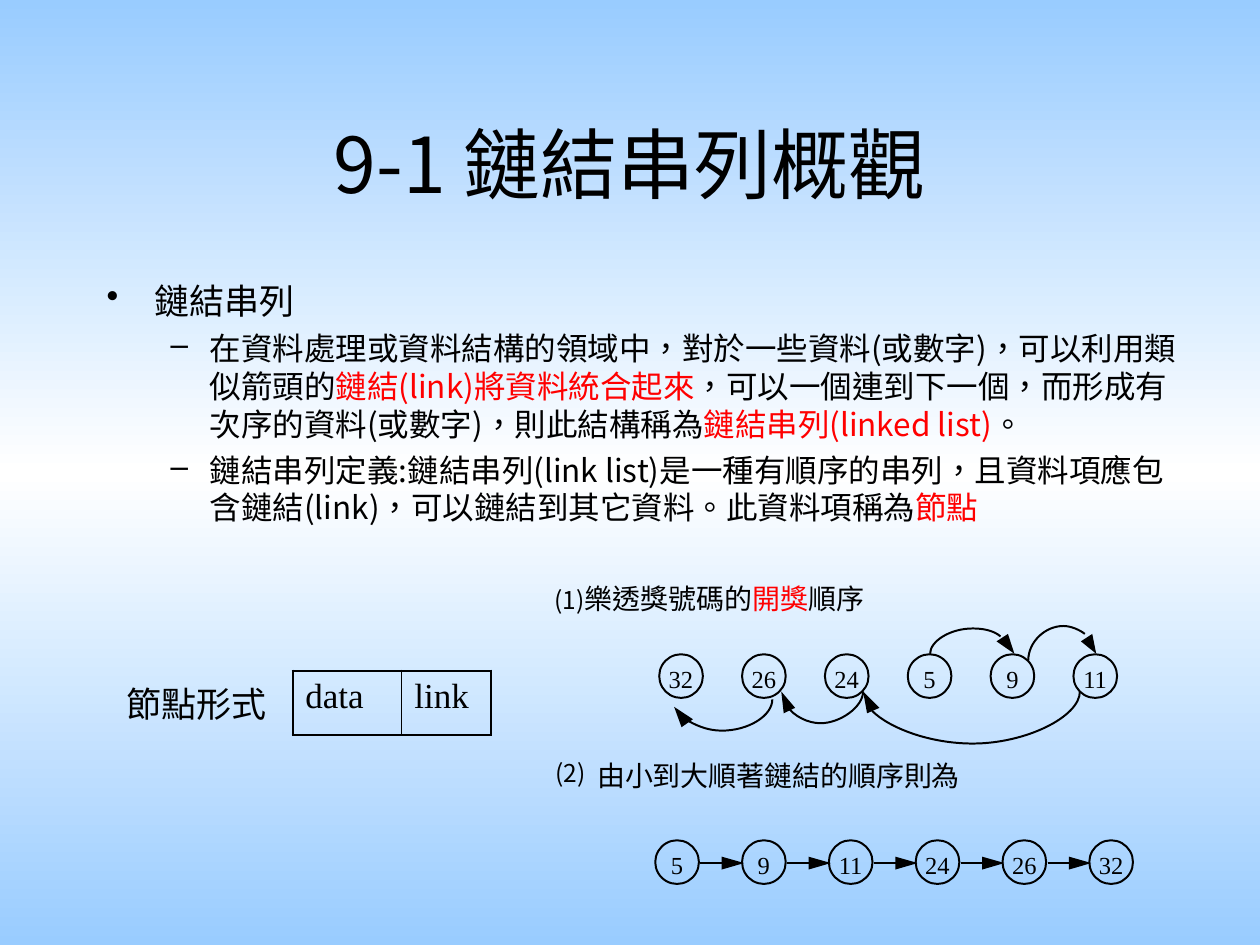
from copy import deepcopy
from lxml.etree import SubElement as Sub
from pptx import Presentation
from pptx.dml.color import RGBColor as RGB
from pptx.enum.shapes import MSO_CONNECTOR as Link, MSO_SHAPE as Kind
from pptx.enum.text import MSO_ANCHOR as Anchor, MSO_AUTO_SIZE as Auto, PP_ALIGN as Align
from pptx.oxml.ns import qn
from pptx.util import Cm, Pt

BLACK = RGB(0, 0, 0)
RED = RGB(0xFF, 0, 0)
WHITE = RGB(0xFF, 0xFF, 0xFF)
SKY = RGB(0x99, 0xCC, 0xFF)
SANS = "Noto Sans CJK SC"
SERIF = "Times New Roman"
THIN = Pt(1.13)

BODY = [
    (0, [("鏈結串列", BLACK)]),
    (1, [("在資料處理或資料結構的領域中，對於一些資料(或數字)，可以利用類似箭頭的", BLACK),
         ("鏈結(link)將資料統合起來", RED),
         ("，可以一個連到下一個，而形成有次序的資料(或數字)，則此結構稱為", BLACK),
         ("鏈結串列(linked list)", RED),
         ("。", BLACK)]),
    (1, [("鏈結串列定義:鏈結串列(link list)是一種有順序的串列，且資料項應包含鏈結(link)，"
          "可以鏈結到其它資料。此資料項稱為", BLACK),
         ("節點", RED)]),
]
LEVELS = [("•", 0.96, -0.96, 20, 5), ("–", 2.08, -0.79, 18, 4.5)]

DRAWN = [32, 26, 24, 5, 9, 11]
ARCS = [
    ([(15.57, 14.1), (15.57, 14.43), (15.09, 14.73), (14.55, 14.73),
      (14.25, 14.73), (14, 14.61), (13.82, 14.5)],
     [(13.97, 14.5), (13.59, 14.25), (13.74, 14.66)]),
    ([(17.4, 13.94), (17.4, 14.25), (16.94, 14.58), (16.54, 14.58),
      (16.28, 14.58), (16, 14.43), (15.88, 14.25)],
     [(16.03, 14.27), (15.75, 13.94), (15.8, 14.38)]),
    ([(21.77, 13.94), (21.77, 14.45), (20.68, 14.99), (19.61, 14.99),
      (18.75, 14.99), (17.93, 14.68), (17.58, 14.33)],
     [(17.73, 14.27), (17.4, 13.94), (17.48, 14.38)]),
    ([(18.75, 13.18), (18.75, 12.93), (19.15, 12.67), (19.61, 12.67),
      (19.79, 12.67), (20.02, 12.7), (20.17, 12.83)],
     [(20.09, 12.93), (20.45, 13.18), (20.32, 12.78)]),
    ([(20.73, 13.31), (20.73, 12.95), (21.06, 12.62), (21.44, 12.62),
      (21.59, 12.62), (21.77, 12.7), (21.87, 12.78)],
     [(21.79, 12.93), (22.1, 13.18), (22.02, 12.78)]),
]


def style(para, size, name=SANS):
    font = para.font
    font.size = Pt(size)
    font.name = name
    font.color.rgb = BLACK
    base = para._p.pPr.find(qn("a:defRPr"))
    Sub(base, qn("a:ea")).set("typeface", SANS)


def write(para, runs):
    for text, color, *size in runs:
        run = para.add_run()
        run.text = text
        run._r.get_or_add_rPr().set("lang", "zh-TW")
        if color != BLACK:
            run.font.color.rgb = color
        if size:
            run.font.size = Pt(size[0])


def add_box(slide, x, y, w, h, wrap=True):
    frame = slide.shapes.add_textbox(Cm(x), Cm(y), Cm(w), Cm(h)).text_frame
    frame.word_wrap = wrap
    return frame


def add_title(slide, text):
    frame = add_box(slide, 1.9, 1.7, 21.6, 3.18)
    frame.vertical_anchor = Anchor.MIDDLE
    para = frame.paragraphs[0]
    para.alignment = Align.CENTER
    style(para, 44)
    write(para, [(text, BLACK)])


def add_body(slide):
    frame = add_box(slide, 1.9, 5.51, 22.3, 7.21)
    for i, (level, runs) in enumerate(BODY):
        para = frame.add_paragraph() if i else frame.paragraphs[0]
        mark, left, hang, size, gap = LEVELS[level]
        para.level = level
        props = para._p.get_or_add_pPr()
        props.set("marL", str(Cm(left)))
        props.set("indent", str(Cm(hang)))
        Sub(props, qn("a:buChar")).set("char", mark)
        if i:
            para.space_before = Pt(gap)
        style(para, size)
        write(para, runs)


def add_label(slide, x, y, w, h, runs, size):
    frame = add_box(slide, x, y, w, h, False)
    frame.auto_size = Auto.SHAPE_TO_FIT_TEXT
    frame.margin_left = frame.margin_right = 0
    frame.margin_top = frame.margin_bottom = 0
    para = frame.paragraphs[0]
    style(para, size)
    write(para, runs)


def set_edges(cell, edges):
    props = cell._tc.get_or_add_tcPr()
    for side in "LRTB":
        width = edges.get(side, 0)
        line = Sub(props, qn("a:ln" + side))
        line.set("w", str(Pt(width)))
        if width:
            fill = Sub(line, qn("a:solidFill"))
            Sub(fill, qn("a:srgbClr")).set("val", str(BLACK))
        else:
            Sub(line, qn("a:noFill"))
    cell.fill.background()


def add_node(slide):
    wide, fine = 1.47, 0.45
    cols = [
        ("節點形式", 3.61, {"R": wide}),
        ("data", 2.2, {"L": wide, "T": wide, "R": fine, "B": wide}),
        ("link", 1.8, {"L": fine, "T": wide, "R": wide, "B": wide}),
    ]
    total = sum(col[1] for col in cols)
    table = slide.shapes.add_table(
        1, len(cols), Cm(2.29), Cm(13.52), Cm(total), Cm(1.3)).table
    table.first_row = table.horz_banding = False
    for i, (text, width, edges) in enumerate(cols):
        table.columns[i].width = Cm(width)
        cell = table.cell(0, i)
        set_edges(cell, edges)
        para = cell.text_frame.paragraphs[0]
        style(para, 20, SERIF)
        write(para, [(text, BLACK)])


def add_ring(slide, x, y, number):
    ring = slide.shapes.add_shape(Kind.OVAL, Cm(x), Cm(y), Cm(0.88), Cm(0.88))
    ring.shadow.inherit = False
    ring.fill.background()
    ring.line.color.rgb = BLACK
    ring.line.width = THIN
    frame = ring.text_frame
    frame.word_wrap = False
    frame.vertical_anchor = Anchor.MIDDLE
    frame.margin_left = frame.margin_right = frame.margin_bottom = 0
    frame.margin_top = Cm(0.1)
    para = frame.paragraphs[0]
    para.alignment = Align.CENTER
    style(para, 14, SERIF)
    write(para, [(str(number), BLACK)])


def add_form(slide, points, close):
    spots = [(Cm(x), Cm(y)) for x, y in points]
    pen = slide.shapes.build_freeform(*spots[0])
    pen.add_line_segments(spots[1:], close=close)
    form = pen.convert_to_shape()
    form.shadow.inherit = False
    return form


def add_head(slide, points):
    head = add_form(slide, points, True)
    head.fill.solid()
    head.fill.fore_color.rgb = BLACK
    head.line.fill.background()


def bend(form):
    track = form._element.find(".//" + qn("a:path"))
    legs = track.findall(qn("a:lnTo"))
    for i in range(0, len(legs), 3):
        curve = Sub(track, qn("a:cubicBezTo"))
        for leg in legs[i:i + 3]:
            curve.append(leg[0])
            track.remove(leg)


def add_arc(slide, knots, head):
    arc = add_form(slide, knots, False)
    bend(arc)
    arc.fill.background()
    arc.line.color.rgb = BLACK
    arc.line.width = THIN
    add_head(slide, head)


def add_link(slide, x, y):
    line = slide.shapes.add_connector(
        Link.STRAIGHT, Cm(x), Cm(y), Cm(x + 0.52), Cm(y))
    line.line.color.rgb = BLACK
    line.line.width = THIN
    Sub(line._element.spPr, qn("a:effectLst"))
    base = x + 0.43
    add_head(slide, [(base, y + 0.13), (x + 0.88, y), (base, y - 0.13)])


def paint(slide):
    fill = slide.background.fill
    fill.gradient()
    fill.gradient_angle = 90
    stops = slide.element.find(".//" + qn("a:gsLst"))
    stops.append(deepcopy(stops[-1]))
    for stop, place, color in zip(fill.gradient_stops, (0, 0.5, 1), (SKY, WHITE, SKY)):
        stop.position = place
        stop.color.rgb = color


def main():
    deck = Presentation()
    deck.slide_width, deck.slide_height = Cm(25.4), Cm(19.05)
    slide = deck.slides.add_slide(deck.slide_layouts[6])
    paint(slide)
    add_title(slide, "9-1 鏈結串列概觀")
    add_body(slide)
    add_node(slide)
    add_label(slide, 11.18, 11.73, 6.65, 0.69,
              [("(1)", BLACK, 14), ("樂透獎號碼的", BLACK), ("開獎", RED), ("順序", BLACK)], 16)
    add_label(slide, 11.2, 15.29, 0.9, 0.58, [("(2)", BLACK)], 14)
    add_label(slide, 12.04, 15.29, 7.32, 0.69, [("由小到大順著鏈結的順序則為", BLACK)], 16)
    for i, number in enumerate(DRAWN):
        add_ring(slide, 13.29 + 1.67 * i, 13.19, number)
    for knots, head in ARCS:
        add_arc(slide, knots, head)
    for i, number in enumerate(sorted(DRAWN)):
        add_ring(slide, 13.21 + 1.75 * i, 16.94, number)
    for i in range(len(DRAWN) - 1):
        add_link(slide, 14.12 + 1.75 * i, 17.4)
    deck.save("out.pptx")


if __name__ == "__main__":
    main()
